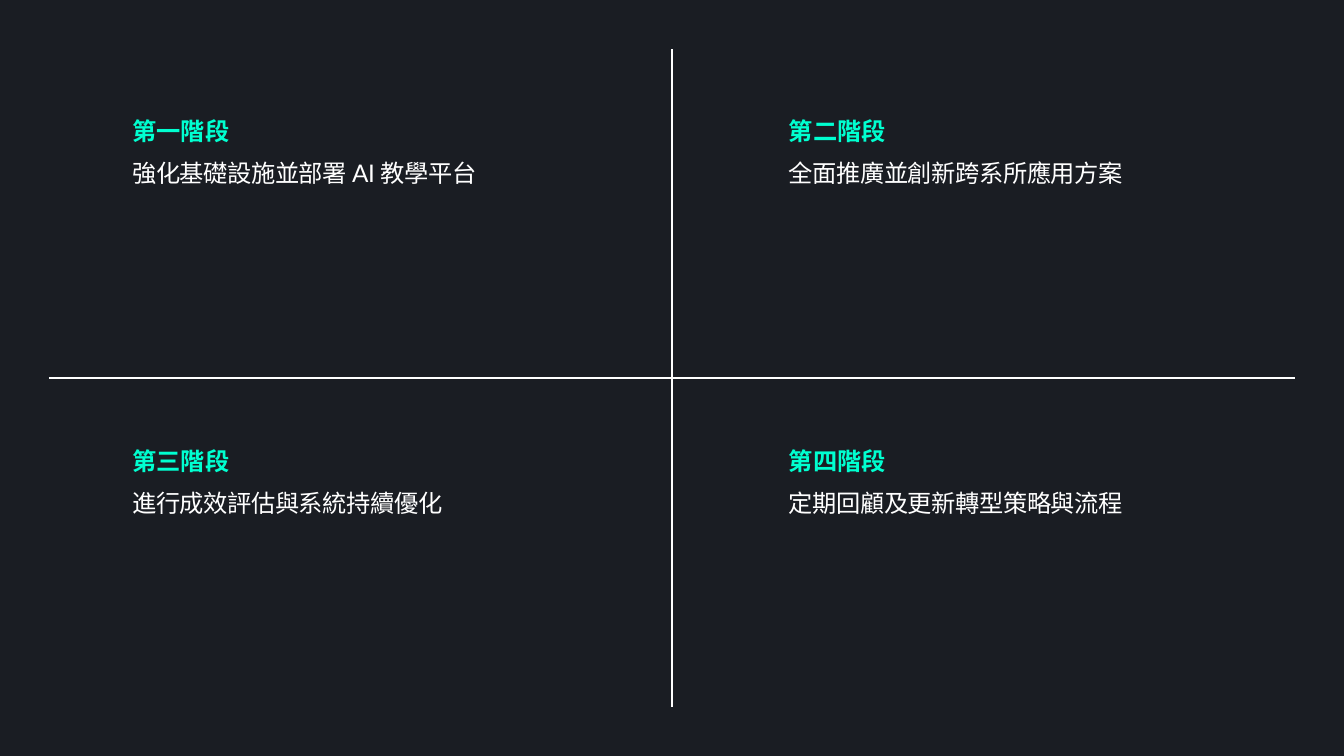
from dataclasses import dataclass

from lxml.etree import SubElement
from pptx import Presentation
from pptx.dml.color import RGBColor as Color
from pptx.enum.shapes import MSO_CONNECTOR as Connector
from pptx.enum.text import MSO_AUTO_SIZE as AutoSize
from pptx.oxml.ns import qn
from pptx.util import Cm, Pt

PHASES = [
    ("第一階段", "強化基礎設施並部署 AI 教學平台"),
    ("第二階段", "全面推廣並創新跨系所應用方案"),
    ("第三階段", "進行成效評估與系統持續優化"),
    ("第四階段", "定期回顧及更新轉型策略與流程"),
]


@dataclass(frozen=True)
class TextStyle:
    font: str
    color: Color
    line_spacing: float
    bold: bool = False
    tracking: int = 0
    size: float = 26


@dataclass(frozen=True)
class Theme:
    background: Color = Color.from_string("1A1D23")
    line: Color = Color.from_string("FFFFFF")
    line_width: float = 2.09
    heading: TextStyle = TextStyle("Arial", Color.from_string("00FFD0"), 36.4, bold=True)
    body: TextStyle = TextStyle("Lato", Color.from_string("FFFFFF"), 31.2, tracking=-50)


THEME = Theme()
WIDTH, HEIGHT, MARGIN = 50.8, 28.58, 1.85
COLUMNS = [(5, 15.98), (29.82, 15.14)]
FIRST_ROW, ROW_PITCH = 4.22, 12.45
HEADING_HEIGHT, BODY_OFFSET, BODY_HEIGHT = 1.19, 1.78, 1.09


def add_axis(slide, start, end):
    axis = slide.shapes.add_connector(
        Connector.STRAIGHT, *(Cm(value) for value in start + end)
    )
    axis.line.color.rgb = THEME.line
    axis.line.width = Pt(THEME.line_width)
    SubElement(axis._element.spPr, qn("a:effectLst"))


def add_text(slide, text, left, top, width, height, style):
    box = slide.shapes.add_textbox(Cm(left), Cm(top), Cm(width), Cm(height))
    frame = box.text_frame
    frame.margin_left = frame.margin_right = frame.margin_top = frame.margin_bottom = 0
    frame.word_wrap = True
    frame.auto_size = AutoSize.SHAPE_TO_FIT_TEXT
    frame.text = text
    para = frame.paragraphs[0]
    para.line_spacing = Pt(style.line_spacing)
    span = para.runs[0]
    span.font.name = style.font
    span.font.size = Pt(style.size)
    span.font.bold = style.bold
    span.font.color.rgb = style.color
    if style.tracking:
        span._r.get_or_add_rPr().set("spc", str(style.tracking))


def main():
    deck = Presentation()
    deck.slide_width, deck.slide_height = Cm(WIDTH), Cm(HEIGHT)
    slide = deck.slides.add_slide(deck.slide_layouts.get_by_name("Blank"))
    slide.background.fill.solid()
    slide.background.fill.fore_color.rgb = THEME.background

    add_axis(slide, (WIDTH / 2, HEIGHT - MARGIN), (WIDTH / 2, MARGIN))
    add_axis(slide, (MARGIN, HEIGHT / 2), (WIDTH - MARGIN, HEIGHT / 2))

    for index, (heading, body) in enumerate(PHASES):
        row, column = divmod(index, len(COLUMNS))
        left, width = COLUMNS[column]
        top = FIRST_ROW + row * ROW_PITCH
        add_text(slide, heading, left, top, width, HEADING_HEIGHT, THEME.heading)
        add_text(slide, body, left, top + BODY_OFFSET, width, BODY_HEIGHT, THEME.body)

    deck.save("out.pptx")


if __name__ == "__main__":
    main()
